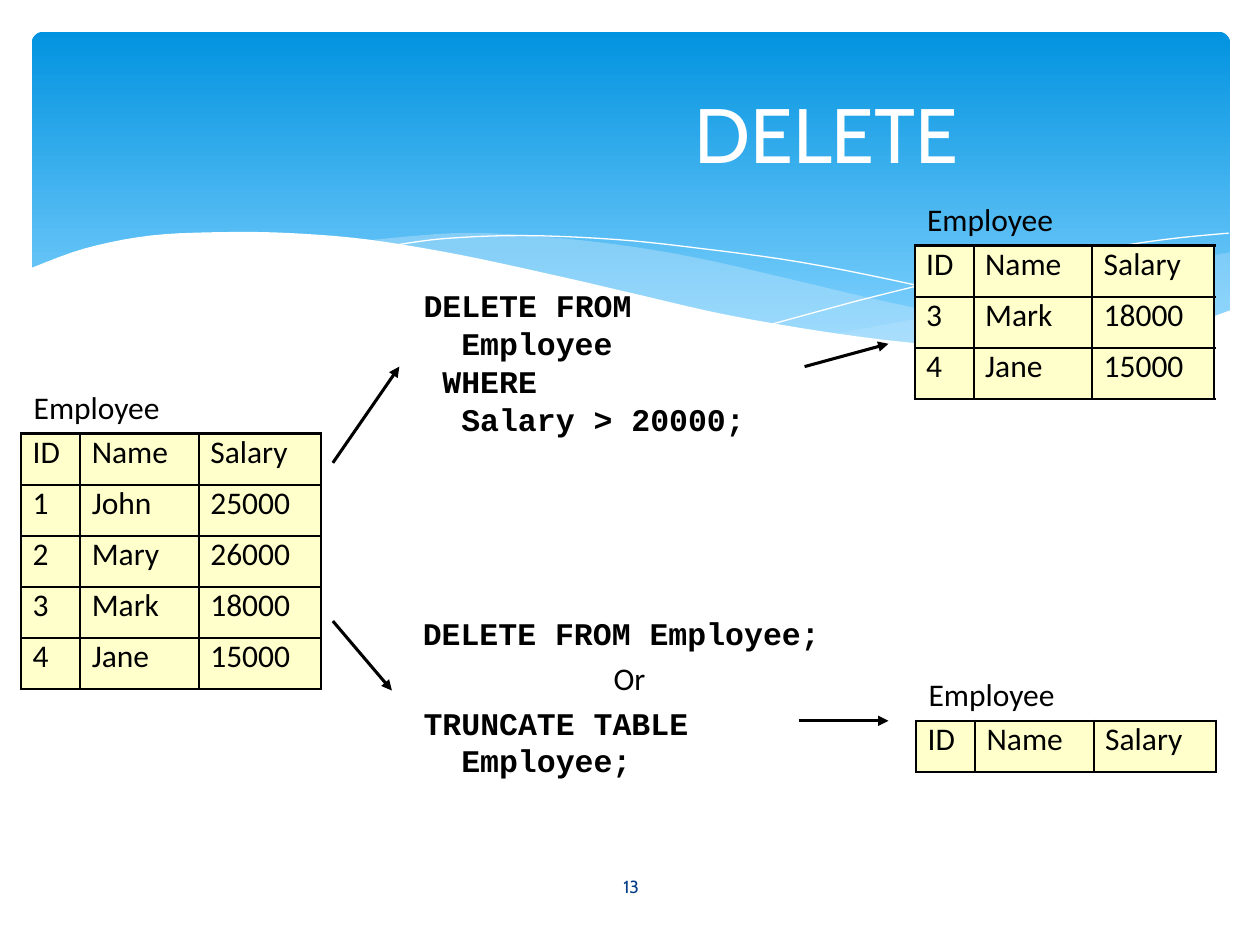
from lxml.etree import SubElement
from pptx import Presentation
from pptx.dml.color import RGBColor
from pptx.enum.shapes import MSO_CONNECTOR, MSO_SHAPE
from pptx.enum.text import MSO_ANCHOR, PP_ALIGN
from pptx.oxml import parse_xml
from pptx.oxml.ns import qn
from pptx.util import Cm, Pt

HUE = {"deep": "0293E0", "sky": "81D2FE", "pale": "C6E7FC", "white": "FFFFFF",
       "ink": "000000", "navy": "073E87", "cream": "FFFFCC"}
NS = 'xmlns:a="http://schemas.openxmlformats.org/drawingml/2006/main"'
CODE, BODY, HEAD = "Courier New", "Calibri", "Cabin"

# Wave edges in cm from the corner of the banner
RIGHT = [[(24.16, 4.45), (22.76, 4.7), (21.23, 5.03), (18.49, 5.66), (16.15, 6.1)],
         [(16.15, 6.1), (17.96, 6.32), (19.76, 6.43), (21.51, 6.32),
          (22.94, 6.05), (24.16, 5.64)]]
MIDDLE = [[(22.05, 6.3), (19.86, 5.97), (17.3, 5.46), (15.34, 5), (13.46, 4.57),
           (11.79, 4.29), (10.03, 4.11), (8.53, 4.06), (6.63, 4.22)],
          [(6.63, 4.22), (8.56, 4.52), (10.77, 5), (12.83, 5.46), (15.06, 5.92),
           (17.02, 6.22), (18.69, 6.4), (20.14, 6.43), (22.05, 6.3)]]
FALL = [[(7.21, 4.32), (8.33, 4.17), (9.93, 4.11), (11.79, 4.19), (13.49, 4.37),
         (15.52, 4.65), (17.83, 5.11), (20.47, 5.74), (22.4, 6.27)]]
RISE = [[(14.94, 5.89), (17.02, 5.33), (19.08, 4.85), (21.36, 4.42),
         (22.83, 4.19), (24.13, 4.06)]]
FRONT = [[(24.18, 5.61), (22.99, 6.02), (21.59, 6.3), (19.91, 6.4), (18.26, 6.32),
          (16.33, 6.1), (14.07, 5.72), (12.14, 5.28), (10.72, 4.95), (8.64, 4.5),
          (6.78, 4.19), (5.21, 4.06), (3.86, 4.04), (2.39, 4.11), (1.07, 4.37),
          (-0.05, 4.78)],
         [(-0.05, 7.72), (24.18, 7.72)]]

ROWS = [("1", "John", "25000"), ("2", "Mary", "26000"),
        ("3", "Mark", "18000"), ("4", "Jane", "15000")]


def tint(name):
    """Return the named colour."""
    return RGBColor.from_string(HUE[name])


def bend(knots, steps=5):
    """Return points on a smooth curve through the knots."""
    ends = [knots[0], *knots, knots[-1]]
    out = []
    for a, b, c, d in zip(ends, ends[1:], ends[2:], ends[3:]):
        for t in (i / steps for i in range(steps)):
            out.append(tuple(
                q + t * ((r - p) + t * ((2 * p - 5 * q + 4 * r - s)
                                        + t * (3 * q - p - 3 * r + s))) / 2
                for p, q, r, s in zip(a, b, c, d)))
    return out + [knots[-1]]


def add_wave(slide, x, y, edges, fill=None, alpha=100):
    """Draw a filled wave, or a thin white line when there is no fill."""
    dots = [(Cm(x + u), Cm(y + v)) for edge in edges for u, v in bend(edge)]
    pen = slide.shapes.build_freeform(*dots[0])
    pen.add_line_segments(dots[1:], close=bool(fill))
    wave = pen.convert_to_shape()
    wave.shadow.inherit = False
    if not fill:
        wave.fill.background()
        wave.line.color.rgb = tint("white")
        wave.line.width = Pt(0.75)
        return
    wave.line.fill.background()
    wave.fill.solid()
    wave.fill.fore_color.rgb = tint(fill)
    if alpha < 100:
        clr = wave.fill._xPr.find(".//" + qn("a:srgbClr"))
        SubElement(clr, qn("a:alpha"), val=str(alpha * 1000))


def add_banner(slide, x, y, w, h):
    """Draw the blue banner with its waves."""
    card = slide.shapes.add_shape(MSO_SHAPE.ROUNDED_RECTANGLE,
                                  Cm(x), Cm(y), Cm(w), Cm(h))
    card.adjustments[0] = 0.034
    card.shadow.inherit = False
    card.line.fill.background()
    card.fill.gradient()
    card.fill.gradient_angle = 270
    for stop, name, pos in zip(card.fill.gradient_stops, ("deep", "sky"), (0, 0.9)):
        stop.color.rgb = tint(name)
        stop.position = pos
    add_wave(slide, x, y, RIGHT, "pale", 29)
    add_wave(slide, x, y, MIDDLE, "pale", 40)
    add_wave(slide, x, y, FALL)
    add_wave(slide, x, y, RISE)
    add_wave(slide, x, y, FRONT, "white")


def style(para, font, size, color="ink", bold=False, indent=0):
    """Format one paragraph and its runs."""
    para._p.get_or_add_pPr().set("marL", str(Cm(indent)))
    for run in para.runs:
        run.font.name, run.font.size, run.font.bold = font, Pt(size), bold
        run.font.color.rgb = tint(color)


def add_text(slide, x, y, w, h, text, anchor=MSO_ANCHOR.TOP):
    """Add a text box without insets and return its paragraphs."""
    frame = slide.shapes.add_textbox(Cm(x), Cm(y), Cm(w), Cm(h)).text_frame
    frame.margin_left = frame.margin_right = 0
    frame.margin_top = frame.margin_bottom = 0
    frame.word_wrap = True
    frame.vertical_anchor = anchor
    frame.text = text
    return frame.paragraphs


def add_title(slide, x, y, w, h, text, font_size, color, indent):
    """Add a centred line in the heading font."""
    para, = add_text(slide, x, y, w, h, text, MSO_ANCHOR.MIDDLE)
    para.alignment = PP_ALIGN.CENTER
    style(para, HEAD, font_size, color, indent=indent)


def add_code(slide, x, y, w, h, lines):
    """Add SQL lines, each given as text and indent."""
    paras = add_text(slide, x, y, w, h, "\n".join(text for text, _ in lines))
    for para, (_, indent) in zip(paras, lines):
        style(para, CODE, 18, bold=True, indent=indent)
        para.line_spacing = Pt(21.6)
    return paras


def add_staff(slide, x, y, rows):
    """Add an Employee table with its name above."""
    para, = add_text(slide, x + 0.25, y - 0.92, 2.62, 0.84, "Employee")
    style(para, BODY, 18)
    data = [("ID", "Name", "Salary"), *rows]
    wide, high = (1.19, 2.39, 2.46), 1.03
    grid = slide.shapes.add_table(len(data), 3, Cm(x), Cm(y), Cm(sum(wide)),
                                  Cm(high * len(data))).table
    grid.first_row = grid.horz_banding = False
    for col, width in zip(grid.columns, wide):
        col.width = Cm(width)
    for row, texts in zip(grid.rows, data):
        row.height = Cm(high)
        for cell, text in zip(row.cells, texts):
            cell.margin_left = Cm(0.23)
            cell.margin_right = cell.margin_top = cell.margin_bottom = 0
            cell.text = text
            style(cell.text_frame.paragraphs[0], BODY, 18)
            for side in "LRTB":
                cell._tc.get_or_add_tcPr().append(parse_xml(
                    f'<a:ln{side} {NS} w="{Pt(1.5)}"><a:solidFill><a:srgbClr '
                    f'val="{HUE["ink"]}"/></a:solidFill></a:ln{side}>'))
            cell.fill.solid()
            cell.fill.fore_color.rgb = tint("cream")


def add_arrow(slide, x, y, dx, dy):
    """Draw an arrow from a point by the given step."""
    line = slide.shapes.add_connector(MSO_CONNECTOR.STRAIGHT, Cm(x), Cm(y),
                                      Cm(x + dx), Cm(y + dy))
    line.line.color.rgb = tint("ink")
    line.line.width = Pt(1.75)
    SubElement(line.line._get_or_add_ln(), qn("a:tailEnd"), type="triangle")
    SubElement(line._element.spPr, qn("a:effectLst"))


def add_delete(slide):
    """Build the DELETE slide."""
    add_banner(slide, 0.64, 0.64, 24.16, 6.86)
    add_title(slide, 11.07, 17.37, 3.23, 1.02, "13", 10, "navy", 0.08)
    add_title(slide, 1.27, 0.94, 22.86, 3.48, "DELETE", 44, "white", 7.92)
    add_staff(slide, 0.43, 8.74, ROWS)
    add_staff(slide, 18.44, 4.95, ROWS[2:])
    add_staff(slide, 18.47, 14.53, [])
    add_code(slide, 8.51, 5.77, 6.53, 3.12,
             [("DELETE FROM", 0.03), ("Employee", 0.79), ("WHERE", 0.41),
              ("Salary > 20000;", 0.79)])
    first, either, third, _ = add_code(
        slide, 8.51, 12.37, 8.03, 3.12,
        [("DELETE FROM Employee;", 0), ("Or", 0.33), ("TRUNCATE TABLE", 0.03),
         ("Employee;", 0.79)])
    first.alignment = either.alignment = PP_ALIGN.CENTER
    style(either, BODY, 18, indent=0.33)
    either.space_before = Pt(0.9)
    either.line_spacing = third.line_spacing = 1.17
    for step in ((6.71, 9.33, 1.34, -1.94), (6.71, 12.52, 1.19, 1.4),
                 (16.22, 7.39, 1.69, -0.46), (16.1, 14.53, 1.81, 0)):
        add_arrow(slide, *step)


deck = Presentation()
deck.slide_width, deck.slide_height = Cm(25.4), Cm(19.05)
add_delete(deck.slides.add_slide(deck.slide_layouts[6]))
deck.save("out.pptx")
